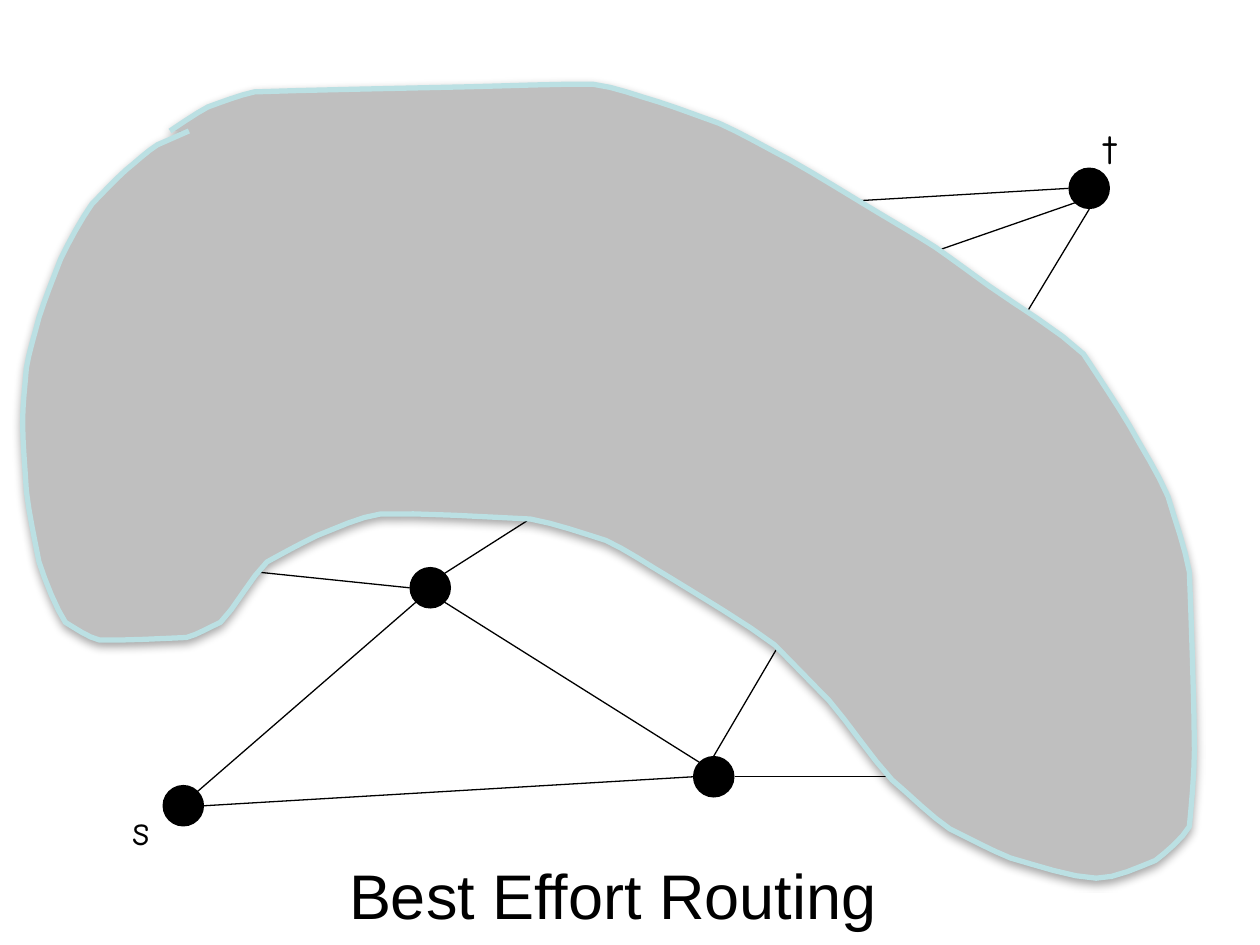
"""Build the Best Effort Routing slide: a network partly hidden by a cloud."""
from lxml import etree
from pptx import Presentation
from pptx import util as u
from pptx.dml.color import RGBColor
from pptx.enum import shapes, text
from pptx.oxml import ns

BLACK = RGBColor(0x00, 0x00, 0x00)
GREY = RGBColor(0xBF, 0xBF, 0xBF)
PALE = RGBColor(0xBB, 0xE0, 0xE3)
SIZE = 0.33
STEPS = 4

TITLE = "Best Effort Routing"
LABELS = [("s", 0.95, 6.33), ("t", 8.67, 0.92)]
NODES = {
    "a": (0.5, 4.25), "s": (1.29, 6.23), "c": (3.25, 4.5), "b": (1.71, 1.5),
    "e": (5.5, 6), "f": (5.08, 3.25), "g": (6.42, 4.35), "h": (3.9, 1.58),
    "i": (7.5, 3.04), "j": (8.83, 6), "t": (8.48, 1.33),
}
SITES = {"N": (0, -1), "S": (0, 1), "W": (-1, 0), "E": (1, 0),
         "NW": (-0.7, -0.7), "NE": (0.7, -0.7), "SW": (-0.7, 0.7), "SE": (0.7, 0.7)}
EDGES = [
    "b SW a NE", "c W a E", "c SW s NE", "c SE e NW", "f SW c NE", "h W b NE", "g W f E",
    "e N g SW", "i SW g NE", "t W h E", "j W e E", "t SW a NE", "t S i NE", "e W s E",
]
CLOUD = [
    (1.5, 1.04), (1.25, 1.15), (1, 1.35), (0.73, 1.62), (0.48, 2.06), (0.31, 2.52),
    (0.21, 2.92), (0.18, 3.35), (0.21, 3.9), (0.31, 4.46), (0.52, 4.94), (0.79, 5.08),
    (1.48, 5.06), (1.75, 4.94), (2.12, 4.46), (2.52, 4.25), (3.02, 4.08), (4.21, 4.12),
    (4.81, 4.29), (5.31, 4.58), (6.15, 5.12), (6.58, 5.56), (7.08, 6.19), (7.54, 6.58),
    (8.02, 6.81), (8.7, 6.97), (9.17, 6.83), (9.44, 6.56), (9.48, 5.95), (9.44, 4.54),
    (9.27, 3.94), (8.96, 3.37), (8.6, 2.81), (7.85, 2.27), (7.42, 1.96), (6.94, 1.67),
    (6.27, 1.27), (5.71, 0.98), (5.23, 0.81), (4.71, 0.67), (3.69, 0.69), (2.02, 0.73),
    (1.65, 0.85), (1.35, 1.04),
]


def blend(before, start, end, after, part):
    reach = abs(end - start)
    out, into = (max(-reach, min(reach, gap / 2)) for gap in (end - before, after - start))
    rest = 1 - part
    return (rest ** 2 * (1 + 2 * part) * start + part ** 2 * (1 + 2 * rest) * end
            + part * rest * (rest * out - part * into))


def smooth(marks):
    full = [marks[0], *marks, marks[-1]]
    curve = [marks[0]]
    for group in zip(full, full[1:], full[2:], full[3:]):
        for step in range(1, STEPS + 1):
            curve.append(tuple(blend(*axis, step / STEPS) for axis in zip(*group)))
    return curve


def add_fx(shape):
    return etree.SubElement(shape._element.spPr, ns.qn("a:effectLst"))


def add_node(slide, left, top):
    dot = slide.shapes.add_shape(shapes.MSO_SHAPE.OVAL, u.Inches(left), u.Inches(top),
                                 u.Inches(SIZE), u.Inches(SIZE))
    dot.shadow.inherit = False
    dot.fill.solid()
    dot.fill.fore_color.rgb = BLACK
    dot.line.fill.background()


def find_site(node, site):
    return [u.Inches(pos + (1 + way) * SIZE / 2)
            for pos, way in zip(NODES[node], SITES[site])]


def add_edge(slide, start, out, end, into):
    line = slide.shapes.add_connector(shapes.MSO_CONNECTOR.STRAIGHT,
                                      *find_site(start, out), *find_site(end, into))
    line.line.color.rgb = BLACK
    line.line.width = u.Pt(0.75)
    add_fx(line)


def add_cloud(slide):
    first, *rest = [(u.Inches(x), u.Inches(y)) for x, y in smooth(CLOUD)]
    form = slide.shapes.build_freeform(*first)
    form.add_line_segments(rest, close=False)
    cloud = form.convert_to_shape()
    cloud.fill.solid()
    cloud.fill.fore_color.rgb = GREY
    cloud.line.color.rgb = PALE
    cloud.line.width = u.Pt(3)
    shade = etree.SubElement(add_fx(cloud), ns.qn("a:outerShdw"), blurRad=str(u.Pt(5)),
                             dist=str(u.Pt(1.8)), dir="5400000", rotWithShape="0")
    color = etree.SubElement(shade, ns.qn("a:srgbClr"), val=str(BLACK))
    etree.SubElement(color, ns.qn("a:alpha"), val="35000")


def set_text(box, words, size, font):
    frame = box.text_frame
    frame.text = words
    frame.word_wrap = False
    frame.auto_size = text.MSO_AUTO_SIZE.SHAPE_TO_FIT_TEXT
    frame.vertical_anchor = text.MSO_ANCHOR.TOP
    para = frame.paragraphs[0]
    para.alignment = text.PP_ALIGN.LEFT
    para.space_before = u.Pt(0)
    face = para.runs[0].font
    face.size, face.name = u.Pt(size), font
    face.color.rgb = BLACK


def main():
    deck = Presentation()
    deck.slide_width, deck.slide_height = u.Inches(10), u.Inches(7.5)
    slide = deck.slides.add_slide(deck.slide_layouts[5])
    for spot in NODES.values():
        add_node(slide, *spot)
    for edge in EDGES:
        add_edge(slide, *edge.split())
    for words, left, top in LABELS:
        box = slide.shapes.add_textbox(u.Inches(left), u.Inches(top),
                                       u.Inches(0.36), u.Inches(0.51))
        set_text(box, words, 24, "Comic Neue")
    add_cloud(slide)
    title = slide.shapes.title
    title.left, title.top = u.Inches(2.67), u.Inches(6.75)
    title.width, title.height = u.Inches(4.43), u.Inches(0.71)
    set_text(title, TITLE, 36, "Arial")
    deck.save("out.pptx")


if __name__ == "__main__":
    main()
